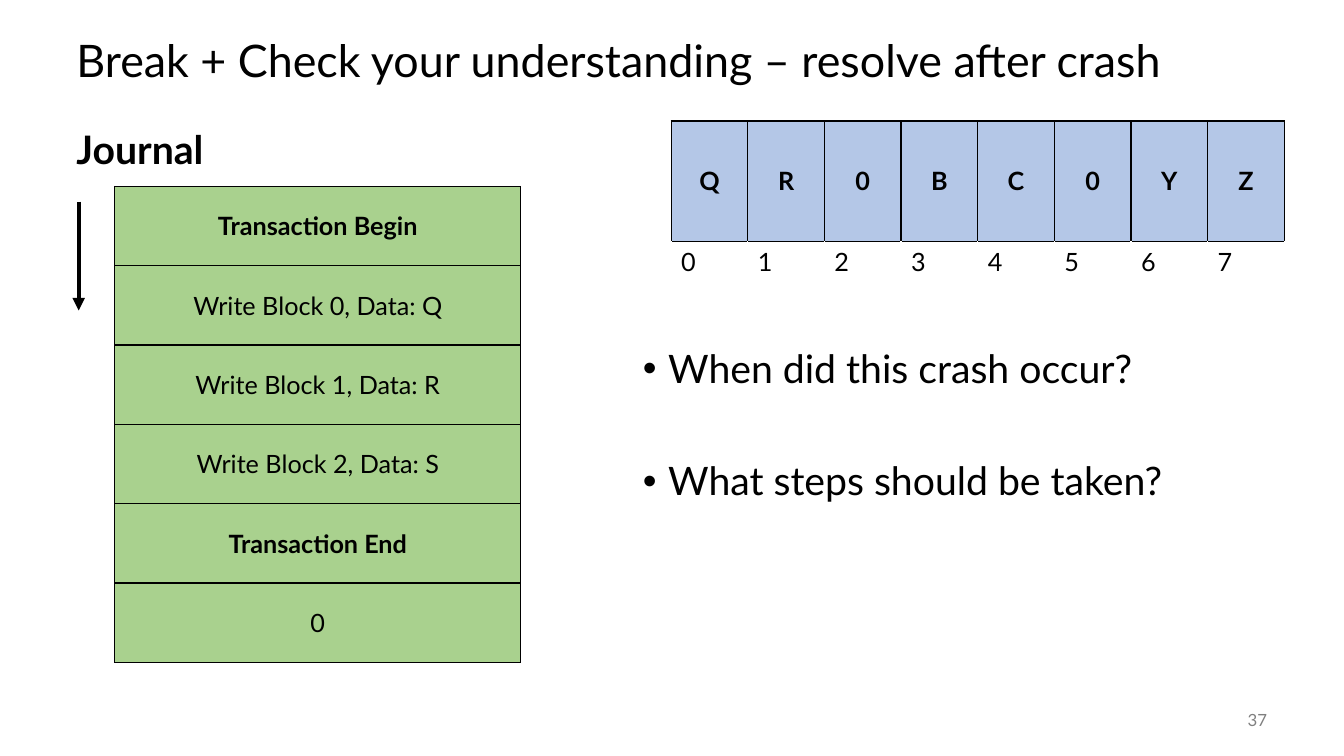
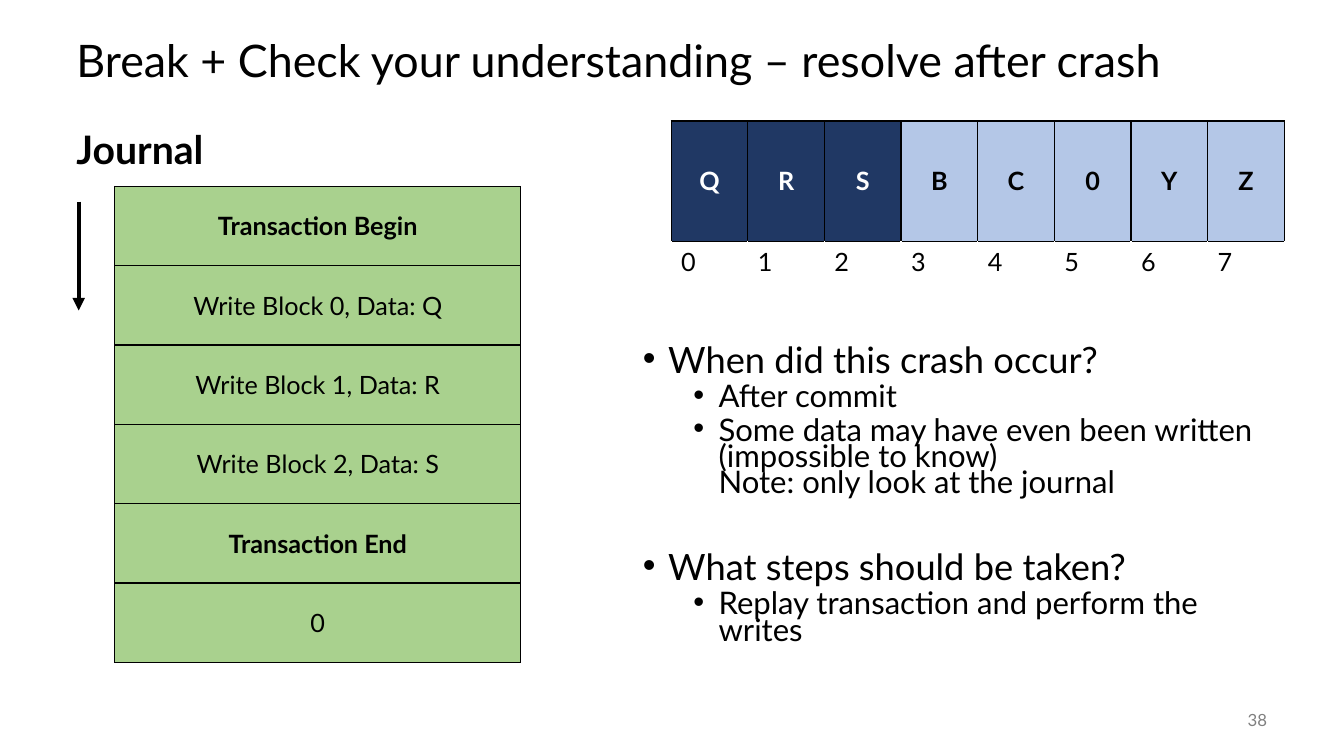
"""Build two slides on resolving a journaled file system after a crash."""
from pptx import Presentation
from pptx.dml.color import RGBColor
from pptx.enum.shapes import MSO_CONNECTOR
from pptx.enum.text import MSO_ANCHOR, PP_ALIGN
from pptx.oxml.ns import qn
from pptx.util import Pt
from lxml import etree

LEFT, CENTER, RIGHT = PP_ALIGN.LEFT, PP_ALIGN.CENTER, PP_ALIGN.RIGHT
TOP, MIDDLE = MSO_ANCHOR.TOP, MSO_ANCHOR.MIDDLE
STRAIGHT = MSO_CONNECTOR.STRAIGHT

FONT = "Lato"
COLORS = {
    "text": "000000",
    "white": "FFFFFF",
    "number": "808080",
    "block": "B4C7E7",
    "written": "203864",
    "journal": "A9D18E",
}

TITLE = "Break + Check your understanding – resolve after crash"
JOURNAL = [
    ("Transaction Begin", True),
    ("Write Block 0, Data: Q", False),
    ("Write Block 1, Data: R", False),
    ("Write Block 2, Data: S", False),
    ("Transaction End", True),
    ("0", False),
]
WHEN = "When did this crash occur?"
STEPS = "What steps should be taken?"
SLIDES = [
    {
        "number": "37",
        "blocks": "QR0BCYZ"[:5] + "0YZ",
        "written": 0,
        "line_spacing": 0.9,
        "sizes": (28, 24),
        "question_gap": 50,
        "questions": [(WHEN, []), (STEPS, [])],
    },
    {
        "number": "38",
        "blocks": "QRSBC0YZ",
        "written": 3,
        "line_spacing": 0.7,
        "sizes": (25.9, 22.2),
        "question_gap": 41.5,
        "questions": [
            (WHEN, [
                "After commit",
                "Some data may have even been written (impossible to know)\n"
                "Note: only look at the journal",
            ]),
            (STEPS, ["Replay transaction and perform the writes"]),
        ],
    },
]
SLIDES[0]["blocks"] = "QR0BC0YZ"

TITLE_BOX = (47.5, 18, 864, 54)
HEADING_BOX = (47.5, 90, 414, 396)
NUMBER_BOX = (840.2, 500.4, 72, 28.8)
QUESTION_BOX = (452.2, 246.2, 460, 240)
BLOCKS_AT, BLOCK_WIDTH, BLOCK_ROWS = (479.4, 86.4), 54.75, (86, 38.2)
JOURNAL_AT, JOURNAL_WIDTH, ENTRY_HEIGHT = (82, 133.2), 290, 56.65
ARROW_X, ARROW_TOP, ARROW_BOTTOM = 56.2, 144, 221.8
HANG, LEVEL_INDENT, SUB_GAP = 18, 36, 5


def rgb(name):
    return RGBColor.from_string(COLORS[name])


def style(paragraph, size, color="text", bold=False, align=LEFT):
    paragraph.alignment = align
    font = paragraph.font
    font.name, font.size, font.bold = FONT, Pt(size), bold
    font.color.rgb = rgb(color)


def add_frame(slide, box, anchor=TOP):
    frame = slide.shapes.add_textbox(*map(Pt, box)).text_frame
    frame.word_wrap = True
    frame.vertical_anchor = anchor
    return frame


def add_label(slide, box, text, size, anchor=TOP, **look):
    paragraph = add_frame(slide, box, anchor).paragraphs[0]
    paragraph.text = text
    paragraph.line_spacing = 0.9
    style(paragraph, size, **look)


def add_bullet(paragraph, level):
    properties = paragraph._p.get_or_add_pPr()
    properties.set("marL", str(Pt(HANG + level * LEVEL_INDENT)))
    properties.set("indent", str(Pt(-HANG)))
    etree.SubElement(properties, qn("a:buFont")).set("typeface", "Arial")
    etree.SubElement(properties, qn("a:buChar")).set("char", "•")


def add_questions(slide, content):
    frame = add_frame(slide, QUESTION_BOX)
    items = []
    for question, answers in content["questions"]:
        items.append((0, question))
        items += [(1, answer) for answer in answers]
    for index, (level, text) in enumerate(items):
        paragraph = frame.add_paragraph() if index else frame.paragraphs[0]
        paragraph.text = text
        paragraph.level = level
        paragraph.line_spacing = content["line_spacing"]
        if index:
            paragraph.space_before = Pt(SUB_GAP if level else content["question_gap"])
        add_bullet(paragraph, level)
        style(paragraph, content["sizes"][level])


def add_grid(slide, at, widths, heights):
    size = (sum(widths), sum(heights))
    grid = slide.shapes.add_table(
        len(heights), len(widths), *map(Pt, at + size)).table
    grid.first_row = grid.horz_banding = False
    for column, width in zip(grid.columns, widths):
        column.width = Pt(width)
    for row, height in zip(grid.rows, heights):
        row.height = Pt(height)
    return grid


def fill_cell(cell, text, fill=None, side="text", anchor=MIDDLE, **look):
    properties = cell._tc.get_or_add_tcPr()
    for edge, color in (("L", side), ("R", side), ("T", "text"), ("B", side)):
        border = etree.SubElement(properties, qn(f"a:ln{edge}"), w=str(Pt(1)))
        solid = etree.SubElement(border, qn("a:solidFill"))
        etree.SubElement(solid, qn("a:srgbClr"), val=COLORS[color])
    if fill:
        cell.fill.solid()
        cell.fill.fore_color.rgb = rgb(fill)
    else:
        cell.fill.background()
    cell.vertical_anchor = anchor
    paragraph = cell.text_frame.paragraphs[0]
    paragraph.text = text
    style(paragraph, 18, **look)


def add_blocks(slide, blocks, written):
    grid = add_grid(slide, BLOCKS_AT, [BLOCK_WIDTH] * len(blocks), BLOCK_ROWS)
    for index, data in enumerate(blocks):
        fill, color = ("written", "white") if index < written else ("block", "text")
        fill_cell(grid.cell(0, index), data, fill, color=color, bold=True, align=CENTER)
        fill_cell(grid.cell(1, index), str(index), side="white", anchor=TOP)


def add_journal(slide):
    grid = add_grid(slide, JOURNAL_AT, [JOURNAL_WIDTH], [ENTRY_HEIGHT] * len(JOURNAL))
    for index, (entry, bold) in enumerate(JOURNAL):
        fill_cell(grid.cell(index, 0), entry, "journal", bold=bold, align=CENTER)


def add_arrow(slide):
    ends = (ARROW_X, ARROW_TOP, ARROW_X, ARROW_BOTTOM)
    arrow = slide.shapes.add_connector(STRAIGHT, *map(Pt, ends))
    arrow.line.width = Pt(3)
    arrow.line.color.rgb = rgb("text")
    properties = arrow._element.spPr
    etree.SubElement(properties.find(qn("a:ln")), qn("a:tailEnd"), type="triangle")
    etree.SubElement(properties, qn("a:effectLst"))


def build_slide(deck, content):
    slide = deck.slides.add_slide(deck.slide_layouts[6])
    add_label(slide, TITLE_BOX, TITLE, 32, MIDDLE)
    add_label(slide, HEADING_BOX, "Journal", 28, bold=True)
    add_label(slide, NUMBER_BOX, content["number"], 12, MIDDLE, color="number", align=RIGHT)
    add_questions(slide, content)
    add_blocks(slide, content["blocks"], content["written"])
    add_journal(slide)
    add_arrow(slide)


def main():
    deck = Presentation()
    deck.slide_width, deck.slide_height = Pt(960), Pt(540)
    for content in SLIDES:
        build_slide(deck, content)
    deck.save("out.pptx")


if __name__ == "__main__":
    main()
